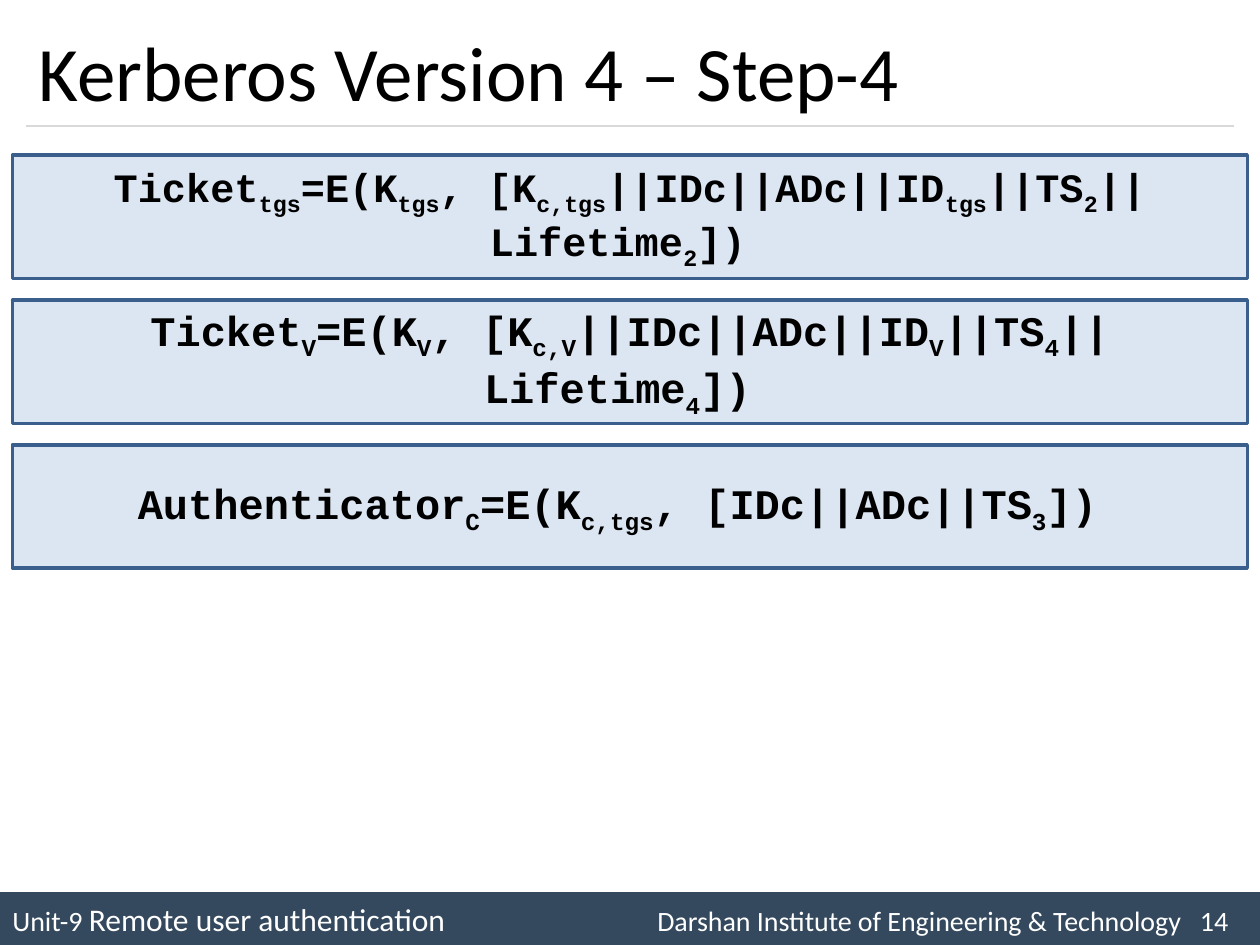
from dataclasses import dataclass

from lxml.etree import SubElement
from pptx import Presentation
from pptx.dml.color import RGBColor as Rgb
from pptx.enum.shapes import MSO_CONNECTOR as Conn, MSO_SHAPE as Shape
from pptx.enum.text import MSO_ANCHOR as Anchor, PP_ALIGN as Align
from pptx.oxml.ns import qn
from pptx.util import Inches, Pt

COLORS = {
    "text": "000000",
    "white": "FFFFFF",
    "bar": "34495E",
    "rule": "D9D9D9",
    "fill": "DCE6F2",
    "edge": "3A5F8C",
}


@dataclass
class Formula:
    """Terms alternate between normal text and subscript."""
    size: int
    terms: tuple[str, ...]


def ticket(size: int, name: str, time: str) -> Formula:
    return Formula(size, (
        "Ticket", name, "=E(K", name, ", [K", f"c,{name}",
        "||IDc||ADc||ID", name, "||TS", time, "||Lifetime", time, "]) "))


FORMULAS = [
    ticket(23, "tgs", "2"),
    ticket(24, "V", "4"),
    Formula(24, ("Authenticator", "C", "=E(K", "c,tgs",
                 ", [IDc||ADc||TS", "3", "]) ")),
]
TOP, STEP = 1.23, 1.15


def color(name: str) -> Rgb:
    return Rgb.from_string(COLORS[name])


def add_run(para, text: str, size: int, tint: str, face: str = "Calibri"):
    run = para.add_run()
    run.text = text
    run.font.size = Pt(size)
    run.font.name = face
    run.font.color.rgb = color(tint)
    return run


def add_box(slide, left: float, top: float, width: float, height: float,
            fill: str, edge: str | None = None):
    box = slide.shapes.add_shape(Shape.RECTANGLE, Inches(left), Inches(top),
                                 Inches(width), Inches(height))
    box.shadow.inherit = False
    box.fill.solid()
    box.fill.fore_color.rgb = color(fill)
    if edge:
        box.line.color.rgb = color(edge)
        box.line.width = Pt(2)
    else:
        box.line.fill.background()
    box.text_frame.word_wrap = True
    box.text_frame.vertical_anchor = Anchor.MIDDLE
    return box


def add_formula(slide, item: Formula, top: float) -> None:
    box = add_box(slide, 0.1, top, 9.8, 0.98, "fill", "edge")
    para = box.text_frame.paragraphs[0]
    para.alignment = Align.CENTER
    for i, term in enumerate(item.terms):
        run = add_run(para, term, item.size, "text", "Courier New")
        run.font.bold = True
        if i % 2:
            run._r.get_or_add_rPr().set("baseline", "-25000")


def add_footer(slide) -> None:
    bar = add_box(slide, 0, 7.08, 10, 0.42, "bar")
    para = bar.text_frame.paragraphs[0]
    para.alignment = Align.LEFT
    tabs = SubElement(para._p.get_or_add_pPr(), qn("a:tabLst"))
    for stop in (9.28, 9.65):
        SubElement(tabs, qn("a:tab"), pos=str(Inches(stop)), algn="r")
    add_run(para, "Unit-9 ", 16, "white")
    add_run(para, "Remote user authentication", 18, "white")
    add_run(para, "\tDarshan Institute of Engineering & Technology\t14",
            16, "white")


def add_rule(slide) -> None:
    rule = slide.shapes.add_connector(Conn.STRAIGHT, Inches(0.21), Inches(1),
                                      Inches(9.79), Inches(1))
    rule.line.color.rgb = color("rule")
    rule.line.width = Pt(0.75)
    SubElement(rule._element.spPr, qn("a:effectLst"))


def add_title(slide, text: str) -> None:
    box = slide.shapes.add_textbox(Inches(0.21), Inches(0.12),
                                   Inches(9.58), Inches(0.88))
    frame = box.text_frame
    frame.word_wrap = True
    frame.vertical_anchor = Anchor.MIDDLE
    add_run(frame.paragraphs[0], text, 44, "text")


def main() -> None:
    deck = Presentation()
    deck.slide_width, deck.slide_height = Inches(10), Inches(7.5)
    slide = deck.slides.add_slide(deck.slide_layouts[6])
    add_footer(slide)
    add_rule(slide)
    add_title(slide, "Kerberos Version 4 – Step-4")
    for row, item in enumerate(FORMULAS):
        add_formula(slide, item, TOP + row * STEP)
    deck.save("out.pptx")


if __name__ == "__main__":
    main()
